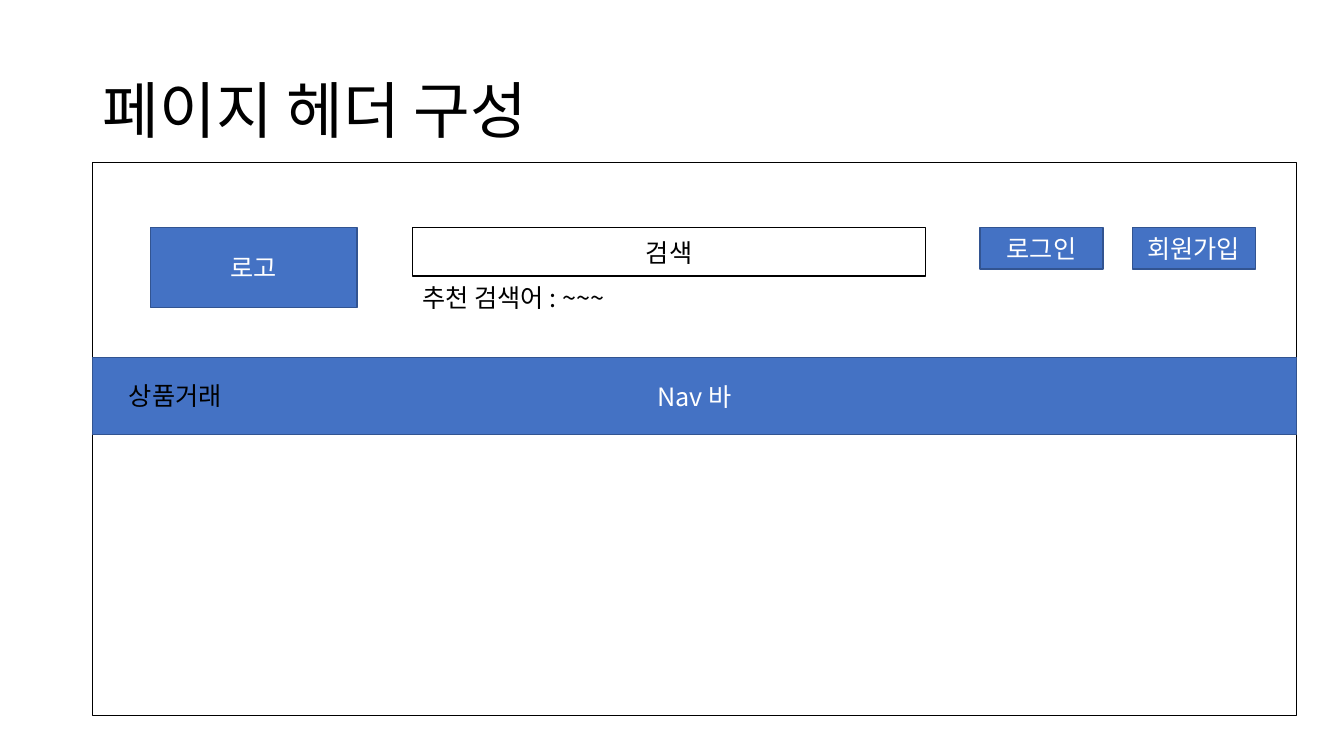
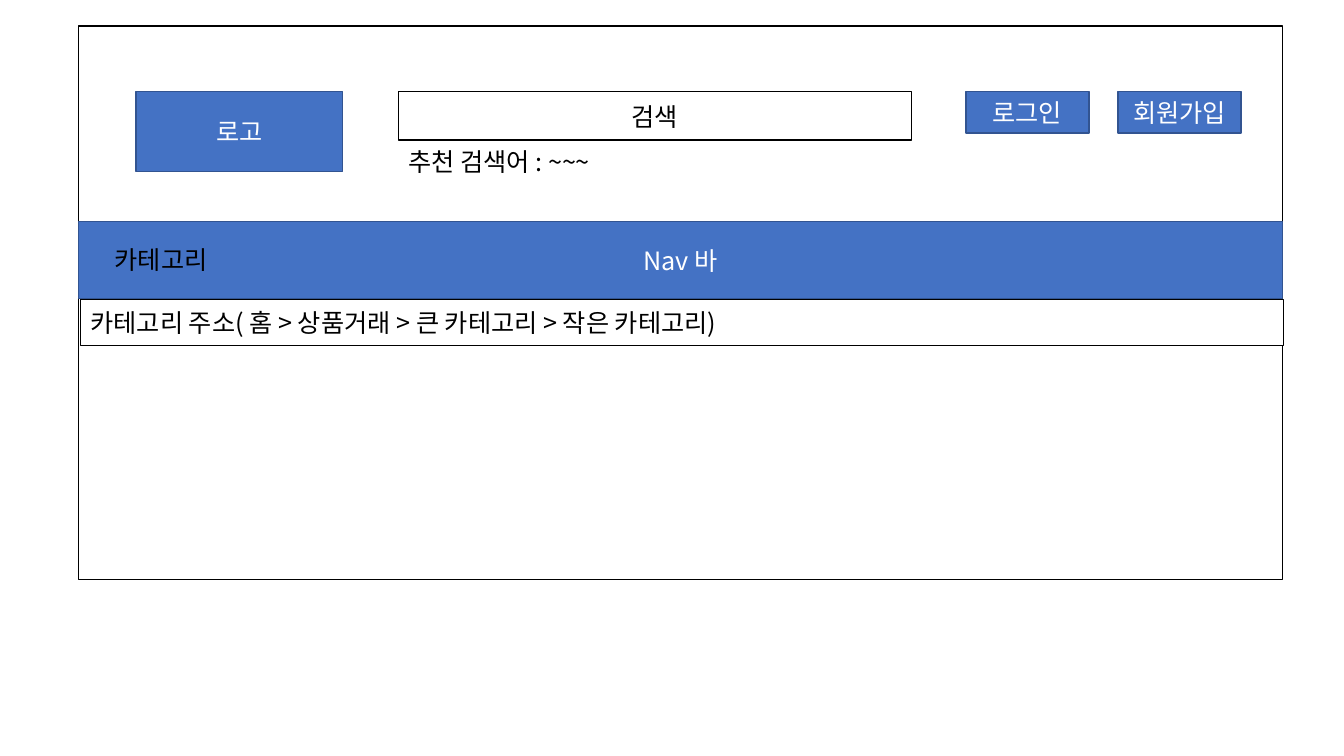
from lxml.etree import SubElement
from pptx import Presentation
from pptx.dml.color import RGBColor
from pptx.enum.shapes import MSO_SHAPE
from pptx.enum.text import MSO_ANCHOR, MSO_AUTO_SIZE, PP_ALIGN
from pptx.oxml.ns import qn
from pptx.util import Inches, Pt

FONT = "Noto Sans CJK KR"
BLACK, WHITE, BLUE, NAVY = "000000", "FFFFFF", "4472C4", "325491"
OUTLINED = {"fill": WHITE, "line": BLACK, "color": BLACK}
FILLED = {"fill": BLUE, "line": NAVY, "color": WHITE}


def color_of(value):
    return RGBColor.from_string(value)


class Wireframe:
    """Holds the deck, its text style and the current page."""

    def __init__(self):
        self.deck = Presentation()
        self.deck.slide_width = Inches(13.33)
        self.deck.slide_height = Inches(7.5)
        self.page = None

    def add_page(self, title=None):
        layout = self.deck.slide_layouts.get_by_name("Title Only" if title else "Blank")
        self.page = self.deck.slides.add_slide(layout)
        if title:
            self.add_title(title)

    def add_title(self, text):
        title = self.page.shapes.title
        place = {"left": 0.92, "top": 0.4, "width": 11.5, "height": 1.45}
        for name, value in place.items():
            setattr(title, name, Inches(value))
        self.set_text(title, text, BLACK, size=44, line_spacing=0.9)

    def set_text(self, box, text, color, size=18, align=PP_ALIGN.LEFT,
                 anchor=MSO_ANCHOR.MIDDLE, auto_size=MSO_AUTO_SIZE.NONE, line_spacing=None):
        frame = box.text_frame
        frame_style = {"word_wrap": True, "auto_size": auto_size, "vertical_anchor": anchor}
        for name, value in frame_style.items():
            setattr(frame, name, value)
        para = frame.paragraphs[0]
        para.alignment = align
        para.line_spacing = line_spacing
        span = para.add_run()
        span.text = text
        span.font.size = Pt(size)
        span.font.color.rgb = color_of(color)
        span.font.name = FONT
        # Hangul takes its typeface from the East Asian font setting
        SubElement(span.font._element, qn("a:ea"), typeface=FONT)

    def add_box(self, shapes, place, style, text=None, align=PP_ALIGN.CENTER):
        box = shapes.add_shape(MSO_SHAPE.RECTANGLE, *map(Inches, place))
        box.shadow.inherit = False
        box.fill.solid()
        box.fill.fore_color.rgb = color_of(style["fill"])
        box.line.color.rgb = color_of(style["line"])
        box.line.width = Pt(1)
        if text:
            self.set_text(box, text, style["color"], align=align)

    def add_label(self, shapes, place, text):
        label = shapes.add_textbox(*map(Inches, place))
        self.set_text(label, text, BLACK, anchor=MSO_ANCHOR.TOP,
                      auto_size=MSO_AUTO_SIZE.SHAPE_TO_FIT_TEXT)

    def add_header(self, left, top, menu):
        """Draws the site header as one group; parts are placed from its corner."""
        shapes = self.page.shapes.add_group_shape().shapes
        parts = [
            ((0, 0, 11.94, 5.49), OUTLINED, None),
            ((3.17, 0.65, 5.09, 0.48), OUTLINED, "검색"),
            ((8.8, 0.65, 1.22, 0.41), FILLED, "로그인"),
            ((10.31, 0.65, 1.22, 0.41), FILLED, "회원가입"),
            ((0.57, 0.65, 2.05, 0.79), FILLED, "로고"),
            ((0, 1.94, 11.94, 0.76), FILLED, "Nav 바"),
        ]
        labels = [
            ((3.17, 1.14, 5.09, 0.4), "추천 검색어 : ~~~"),
            ((0.26, 2.11, 1.92, 0.4), menu),
        ]
        for (x, y, width, height), style, text in parts:
            self.add_box(shapes, (left + x, top + y, width, height), style, text)
        for (x, y, width, height), text in labels:
            self.add_label(shapes, (left + x, top + y, width, height), text)


def main():
    wireframe = Wireframe()

    wireframe.add_page("페이지 헤더 구성")
    wireframe.add_header(0.92, 1.61, "상품거래")

    wireframe.add_page()
    wireframe.add_header(0.78, 0.26, "카테고리")
    wireframe.add_box(
        wireframe.page.shapes, (0.8, 2.97, 11.93, 0.46), OUTLINED,
        "카테고리 주소( 홈 > 상품거래 > 큰 카테고리 > 작은 카테고리)", PP_ALIGN.LEFT)

    wireframe.deck.save("out.pptx")


if __name__ == "__main__":
    main()
